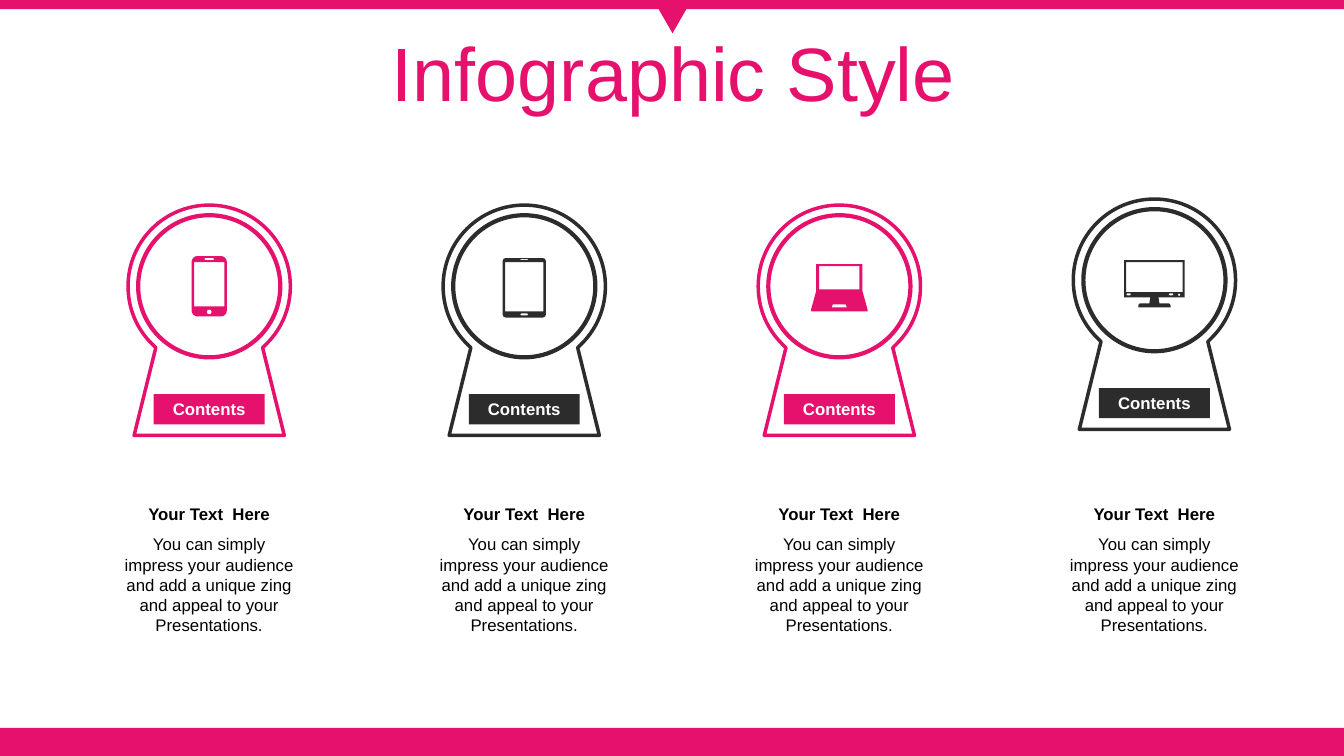
import lxml.etree
import pptx
import pptx.dml.color
import pptx.enum.shapes
import pptx.enum.text
import pptx.oxml.ns
import pptx.util

Inches = pptx.util.Inches
qn = pptx.oxml.ns.qn
SHAPE = pptx.enum.shapes.MSO_SHAPE
ANCHOR = pptx.enum.text.MSO_ANCHOR
AUTO_SIZE = pptx.enum.text.MSO_AUTO_SIZE

PINK, DARK, WHITE, BLACK = "E6106D", "2C2C2C", "FFFFFF", "000000"
TITLE = "Infographic Style"
LABEL = "Contents"
HEADING = "Your Text  Here"
BODY = "You can simply impress your audience and add a unique zing and appeal to your Presentations."
FIRST_LEFT, COLUMN_STEP, CAPTION_WIDTH = 1.11, 3.125, 1.93
COLUMNS = [
    ("phone", PINK, 2.84),
    ("tablet", DARK, 2.84),
    ("laptop", PINK, 2.84),
    ("monitor", DARK, 2.78),
]


def rounded(left, top, right, bottom, radius=0):
    if not radius:
        return [(left, top), (right, top), (right, bottom), (left, bottom)]
    near = radius * 0.45
    corners = [
        (right - radius, top, right - near, top, right, top + near, right, top + radius),
        (right, bottom - radius, right, bottom - near, right - near, bottom, right - radius, bottom),
        (left + radius, bottom, left + near, bottom, left, bottom - near, left, bottom - radius),
        (left, top + radius, left, top + near, left + near, top, left + radius, top),
    ]
    nodes = [(left + radius, top)]
    for corner in corners:
        if max(abs(a - b) for a, b in zip(corner[:2], nodes[-1][-2:])) > 0.001:
            nodes.append(corner[:2])
        nodes.append(corner[2:])
    return nodes


KEYHOLE = [[
    (0, -0.805), (0.445, -0.805, 0.805, -0.445, 0.805, 0),
    (0.805, 0.22, 0.72, 0.42, 0.57, 0.57), (0.53, 0.61), (0.745, 1.48),
    (-0.745, 1.48), (-0.53, 0.61), (-0.57, 0.57),
    (-0.72, 0.42, -0.805, 0.22, -0.805, 0), (-0.805, -0.445, -0.445, -0.805, 0, -0.805),
]]
ICONS = {
    "phone": [
        rounded(-0.175, -0.3, 0.175, 0.3, 0.06),
        rounded(-0.15, -0.24, 0.15, 0.2),
        rounded(-0.05, -0.28, 0.05, -0.26, 0.01),
        rounded(-0.025, 0.23, 0.025, 0.28, 0.025),
    ],
    "tablet": [
        rounded(-0.215, -0.28, 0.215, 0.31, 0.03),
        rounded(-0.19, -0.24, 0.19, 0.25),
        rounded(-0.04, -0.27, 0.04, -0.26, 0.005),
        rounded(-0.04, 0.27, 0.04, 0.29, 0.01),
    ],
    "laptop": [
        [(-0.23, -0.22), (0.23, -0.22), (0.23, 0.05), (0.28, 0.23),
         (0.28, 0.25), (-0.28, 0.25), (-0.28, 0.23), (-0.23, 0.05)],
        rounded(-0.2, -0.2, 0.2, 0.03),
        [(-0.065, 0.18), (0.065, 0.18), (0.075, 0.21), (-0.075, 0.21)],
    ],
    "monitor": [
        [(-0.3, -0.2), (0.3, -0.2), (0.3, 0.17), (0.04, 0.17), (0.05, 0.23),
         (0.14, 0.23), (0.15, 0.23, 0.16, 0.24, 0.16, 0.25), (0.16, 0.27),
         (-0.16, 0.27), (-0.16, 0.25), (-0.16, 0.24, -0.15, 0.23, -0.14, 0.23),
         (-0.05, 0.23), (-0.04, 0.17), (-0.3, 0.17)],
        rounded(-0.28, -0.18, 0.28, 0.12),
        rounded(-0.28, 0.13, -0.23, 0.15, 0.01),
        rounded(0.14, 0.13, 0.19, 0.15, 0.01),
        rounded(0.23, 0.13, 0.26, 0.16, 0.015),
    ],
}


def color(value):
    return pptx.dml.color.RGBColor.from_string(value)


def paint(shape, fill, line=None, width=0):
    shape.shadow.inherit = False
    shape.fill.solid()
    shape.fill.fore_color.rgb = color(fill)
    if line:
        shape.line.color.rgb = color(line)
        shape.line.width = pptx.util.Pt(width)
    else:
        shape.line.fill.background()
    return shape


def add_preset(page, kind, left, top, width, height, *style):
    shape = page.shapes.add_shape(kind, Inches(left), Inches(top), Inches(width), Inches(height))
    return paint(shape, *style)


def bend(shape, nodes, x, y):
    segments = list(shape.element.iter(qn("a:lnTo")))
    for segment, node in zip(segments, nodes):
        if len(node) == 2:
            continue
        curve = lxml.etree.Element(qn("a:cubicBezTo"))
        for dx, dy in zip(node[::2], node[1::2]):
            point = lxml.etree.SubElement(curve, qn("a:pt"))
            point.set("x", str(Inches(x + dx) - shape.left))
            point.set("y", str(Inches(y + dy) - shape.top))
        segment.getparent().replace(segment, curve)


def add_outline(page, contours, x, y, *style):
    placed = [[(Inches(x + node[-2]), Inches(y + node[-1])) for node in contour] for contour in contours]
    builder = page.shapes.build_freeform(*placed[0][0])
    for i, contour in enumerate(placed):
        if i:
            builder.move_to(*contour[0])
        builder.add_line_segments(contour[1:], close=True)
    shape = builder.convert_to_shape()
    bend(shape, [node for contour in contours for node in contour[1:]], x, y)
    return paint(shape, *style)


def write(box, text, size, ink, bold=False, auto_size=AUTO_SIZE.SHAPE_TO_FIT_TEXT, anchor=ANCHOR.TOP):
    frame = box.text_frame
    frame.text = text
    frame.word_wrap = True
    frame.auto_size = auto_size
    frame.vertical_anchor = anchor
    para = frame.paragraphs[0]
    para.alignment = pptx.enum.text.PP_ALIGN.CENTER
    font = para.runs[0].font
    font.name = "Arial"
    font.size = pptx.util.Pt(size)
    font.bold = bold
    font.color.rgb = color(ink)
    return para


def add_caption(page, left):
    group = page.shapes.add_group_shape()
    for text, top, height, bold in [(BODY, 5.25, 1.11, False), (HEADING, 4.95, 0.3, True)]:
        box = group.shapes.add_textbox(Inches(left), Inches(top), Inches(CAPTION_WIDTH), Inches(height))
        write(box, text, 12, BLACK, bold)


def add_column(page, left, icon, accent, middle):
    center = left + CAPTION_WIDTH / 2
    add_outline(page, KEYHOLE, center, middle, WHITE, accent, 2.5)
    add_preset(page, SHAPE.OVAL, center - 0.705, middle - 0.705, 1.41, 1.41, WHITE, accent, 3)
    add_outline(page, ICONS[icon], center, middle, accent)
    label = add_preset(page, SHAPE.RECTANGLE, center - 0.55, middle + 1.07, 1.1, 0.3, accent)
    write(label, LABEL, 12, WHITE, True)
    add_caption(page, left)


def main():
    deck = pptx.Presentation()
    deck.slide_width, deck.slide_height = Inches(13.33), Inches(7.5)
    page = deck.slides.add_slide(deck.slide_layouts[5])

    add_preset(page, SHAPE.RECTANGLE, 0, 7.22, 13.33, 0.28, PINK)
    add_preset(page, SHAPE.RECTANGLE, 0, 0, 13.33, 0.09, PINK)
    add_preset(page, SHAPE.ISOSCELES_TRIANGLE, 6.48, 0, 0.38, 0.33, PINK).rotation = 180

    title = page.shapes.title
    title.left, title.top, title.width, title.height = map(Inches, (0.35, 0.37, 12.66, 0.79))
    para = write(title, TITLE, 54, PINK, auto_size=AUTO_SIZE.NONE, anchor=ANCHOR.MIDDLE)
    para.line_spacing = 0.9

    for i, column in enumerate(COLUMNS):
        add_column(page, FIRST_LEFT + i * COLUMN_STEP, *column)

    deck.save("out.pptx")


if __name__ == "__main__":
    main()
